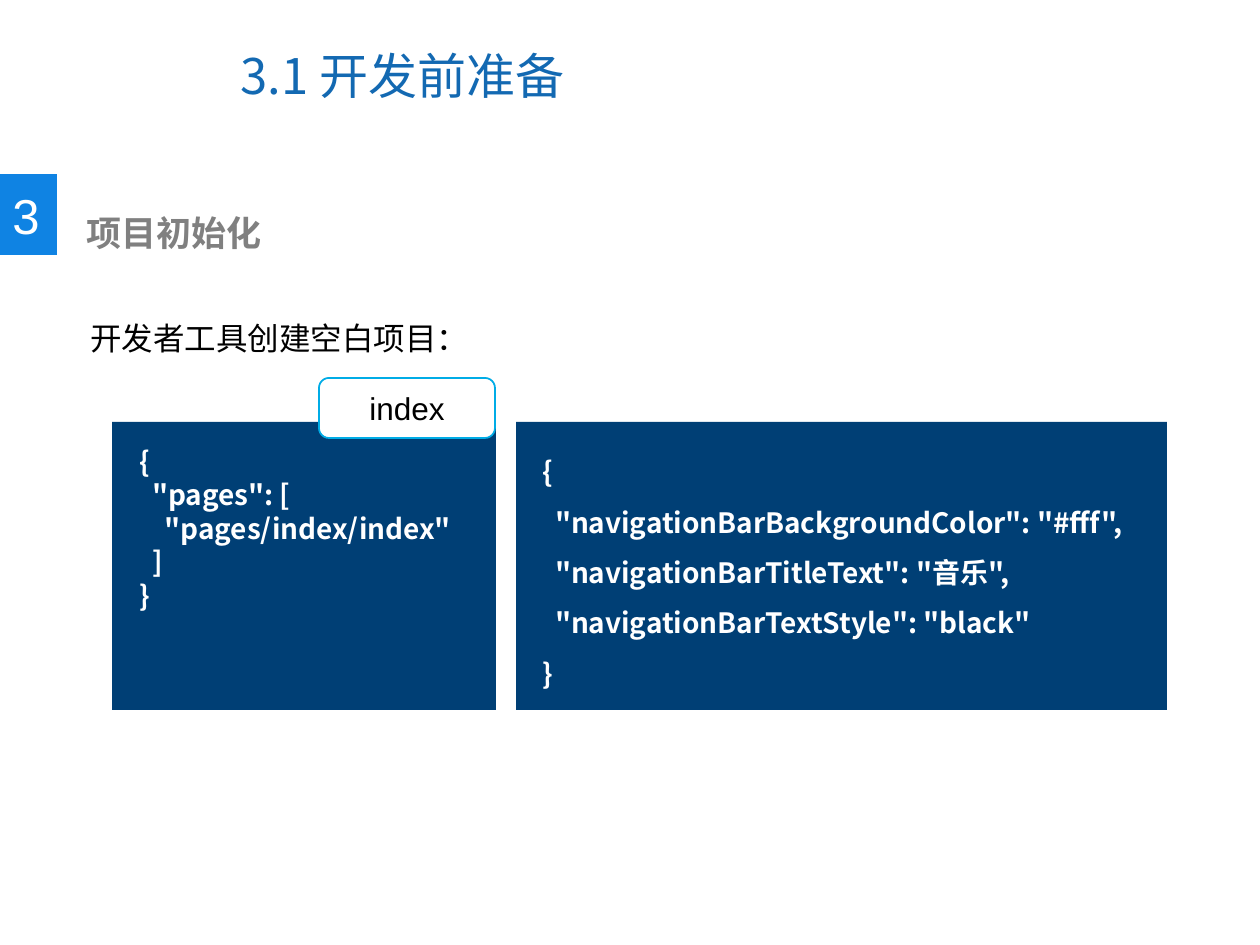
import dataclasses

import lxml.etree
import pptx
import pptx.dml.color
import pptx.enum.shapes
import pptx.enum.text
import pptx.oxml.ns
import pptx.util

PX = 914400 / 126
SHAPES = pptx.enum.shapes.MSO_SHAPE
ALIGN = pptx.enum.text.PP_ALIGN
ANCHOR = pptx.enum.text.MSO_ANCHOR


@dataclasses.dataclass(frozen=True)
class Theme:
    title: str = "1369B2"
    badge: str = "0F83E3"
    heading: str = "808080"
    code_fill: str = "003F75"
    tab_line: str = "00ACE6"
    white: str = "FFFFFF"
    black: str = "000000"
    sans: str = "Arial"
    cjk: str = "Noto Sans CJK SC"
    title_size: int = 28
    heading_size: int = 20
    body_size: int = 18
    code_size: int = 16


THEME = Theme()


def emu(px):
    return pptx.util.Emu(round(px * PX))


def rgb(value):
    return pptx.dml.color.RGBColor.from_string(value)


def place(part, box):
    for side, px in zip(("left", "top", "width", "height"), box):
        setattr(part, side, emu(px))


def write(frame, lines, size, color, face, bold=False, spacing=None,
          align=ALIGN.LEFT, anchor=ANCHOR.TOP, wrap=True):
    for key, value in {"word_wrap": wrap, "vertical_anchor": anchor}.items():
        setattr(frame, key, value)
    for index, line in enumerate(lines):
        paragraph = frame.add_paragraph() if index else frame.paragraphs[0]
        for key, value in {"alignment": align, "line_spacing": spacing}.items():
            setattr(paragraph, key, value)
        run = paragraph.add_run()
        run.text = line
        formats = {"size": pptx.util.Pt(size), "bold": bold, "name": face}
        for key, value in formats.items():
            setattr(run.font, key, value)
        run.font.color.rgb = rgb(color)
        east_asian = lxml.etree.SubElement(
            run.font._element, pptx.oxml.ns.qn("a:ea"))
        east_asian.set("typeface", THEME.cjk)


def add_text(slide, box, lines, size, color, face, **formats):
    label = slide.shapes.add_textbox(*map(emu, box))
    write(label.text_frame, lines, size, color, face, **formats)


def add_panel(slide, kind, box, fill, line=None):
    panel = slide.shapes.add_shape(kind, *map(emu, box))
    panel.shadow.inherit = False
    panel.fill.solid()
    panel.fill.fore_color.rgb = rgb(fill)
    if line:
        panel.line.color.rgb = rgb(line)
        panel.line.width = pptx.util.Pt(1)
    else:
        panel.line.fill.background()
    return panel


def add_title(slide, box, text):
    title = slide.shapes.title
    place(title, box)
    write(title.text_frame, [text], THEME.title_size, THEME.title, THEME.cjk,
          anchor=ANCHOR.MIDDLE)


def add_section(slide, box, number, heading):
    left, top, width, height = box
    add_panel(slide, SHAPES.RECTANGLE, (left, top, 57, height), THEME.badge)
    add_text(slide, (left, top + 5, 53, 72), [number], THEME.title_size,
             THEME.white, THEME.sans, wrap=False)
    add_text(slide, (left + 74, top + 31, width - 74, 55), [heading],
             THEME.heading_size, THEME.heading, "Times New Roman", bold=True)


def add_code(slide, box, inset, lines, spacing=None):
    left, top, width, height = box
    across, down = inset
    add_panel(slide, SHAPES.RECTANGLE, box, THEME.code_fill)
    add_text(slide, (left + across, top + down, width - across, height - down),
             lines, THEME.code_size, THEME.white, THEME.cjk,
             bold=True, spacing=spacing)


def add_tab(slide, box, text):
    tab = add_panel(slide, SHAPES.ROUNDED_RECTANGLE, box, THEME.white,
                    THEME.tab_line)
    write(tab.text_frame, [text], THEME.body_size, THEME.black, THEME.sans,
          align=ALIGN.CENTER, anchor=ANCHOR.MIDDLE)


def main():
    deck = pptx.Presentation()
    deck.slide_width, deck.slide_height = emu(1260), emu(945)
    slide = deck.slides.add_slide(deck.slide_layouts.get_by_name("Title Only"))
    add_title(slide, (228, 21, 650, 107), "3.1 开发前准备")
    add_section(slide, (0, 174, 708, 81), "3", "项目初始化")
    add_text(slide, (78, 275, 1090, 77), ["开发者工具创建空白项目："],
             THEME.body_size, THEME.black, THEME.sans, spacing=2.0)
    add_code(slide, (112, 422, 384, 288), (15, 16), [
        "{",
        '  "pages": [',
        '    "pages/index/index"',
        "  ]",
        "}",
    ])
    add_code(slide, (516, 422, 651, 288), (14, 10), [
        "{",
        '  "navigationBarBackgroundColor": "#fff",',
        '  "navigationBarTitleText": "音乐",',
        '  "navigationBarTextStyle": "black"',
        "}",
    ], spacing=1.5)
    add_tab(slide, (319, 378, 176, 60), "index")
    deck.save("out.pptx")


if __name__ == "__main__":
    main()
